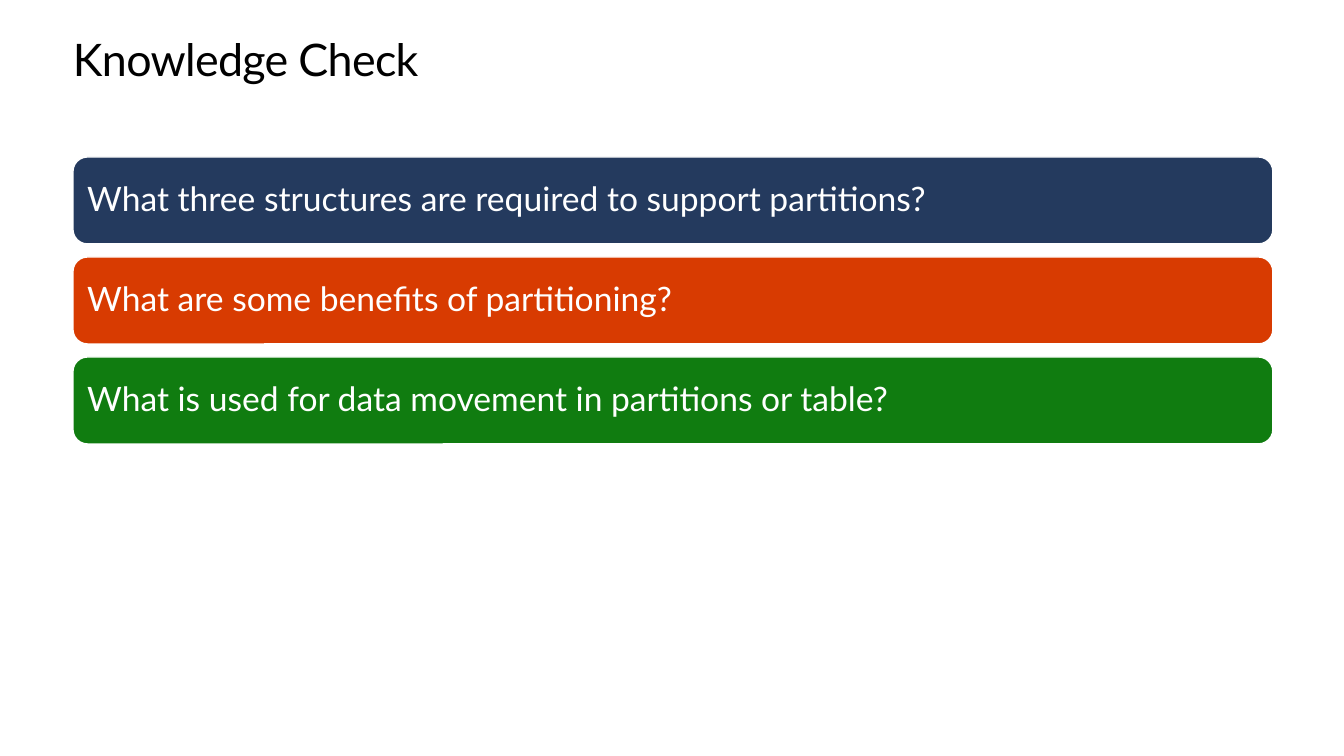
from pptx import Presentation
from pptx.dml.color import RGBColor
from pptx.enum.shapes import MSO_SHAPE
from pptx.enum.text import MSO_ANCHOR, PP_ALIGN
from pptx.util import Pt

ROUNDED = MSO_SHAPE.ROUNDED_RECTANGLE
TOP, MIDDLE = MSO_ANCHOR.TOP, MSO_ANCHOR.MIDDLE
LEFT = PP_ALIGN.LEFT

WIDTH, HEIGHT = 1344, 756
SCALE = 12192000 / WIDTH
COLORS = {
    "black": "000000",
    "white": "FFFFFF",
    "navy": "243A5E",
    "orange": "D83B01",
    "green": "107C10",
}
QUESTIONS = [
    ("What three structures are required to support partitions?", "navy"),
    ("What are some benefits of partitioning?", "orange"),
    ("What is used for data movement in partitions or table?", "green"),
]
MARGIN, CONTENT_W = 73, 1200
BAR_TOP, BAR_H, BAR_PITCH = 157, 87, 100


def px(n):
    return round(n * SCALE)


def rgb(name):
    return RGBColor.from_string(COLORS[name])


class SlideBuilder:
    """Holds the text style and the slide being built."""

    font = "Lato"

    def __init__(self, slide):
        self.s = slide

    def add_text(self, sp, text, size, color, inset, anchor, spacing):
        tf = sp.text_frame
        frame = {"word_wrap": True, "vertical_anchor": anchor}
        frame.update({f"margin_{side}": px(inset) for side in ("left", "top", "right", "bottom")})
        p = tf.paragraphs[0]
        r = p.add_run()
        r.text = text
        formats = [
            (tf, frame),
            (p, {"alignment": LEFT, "line_spacing": spacing}),
            (r.font, {"name": self.font, "size": Pt(size)}),
        ]
        for target, values in formats:
            for key, value in values.items():
                setattr(target, key, value)
        r.font.color.rgb = rgb(color)
        return r

    def title(self, text, x, y, w, h):
        sp = self.s.shapes.add_textbox(px(x), px(y), px(w), px(h))
        r = self.add_text(sp, text, 32, "black", 0, TOP, Pt(36.2))
        r._r.get_or_add_rPr().set("spc", "-50")

    def bar(self, text, fill, x, y, w, h):
        sp = self.s.shapes.add_shape(ROUNDED, px(x), px(y), px(w), px(h))
        sp.shadow.inherit = False
        sp.fill.solid()
        sp.fill.fore_color.rgb = rgb(fill)
        sp.line.color.rgb = rgb("white")
        sp.line.width = Pt(1)
        self.add_text(sp, text, 24, "white", 10, MIDDLE, 0.9)


def main():
    prs = Presentation()
    prs.slide_width, prs.slide_height = px(WIDTH), px(HEIGHT)
    s = SlideBuilder(prs.slides.add_slide(prs.slide_layouts[6]))
    s.title("Knowledge Check", MARGIN, 35, CONTENT_W, 50)
    for i, (question, fill) in enumerate(QUESTIONS):
        s.bar(question, fill, MARGIN, BAR_TOP + i * BAR_PITCH, CONTENT_W, BAR_H)
    prs.save("out.pptx")


if __name__ == "__main__":
    main()
